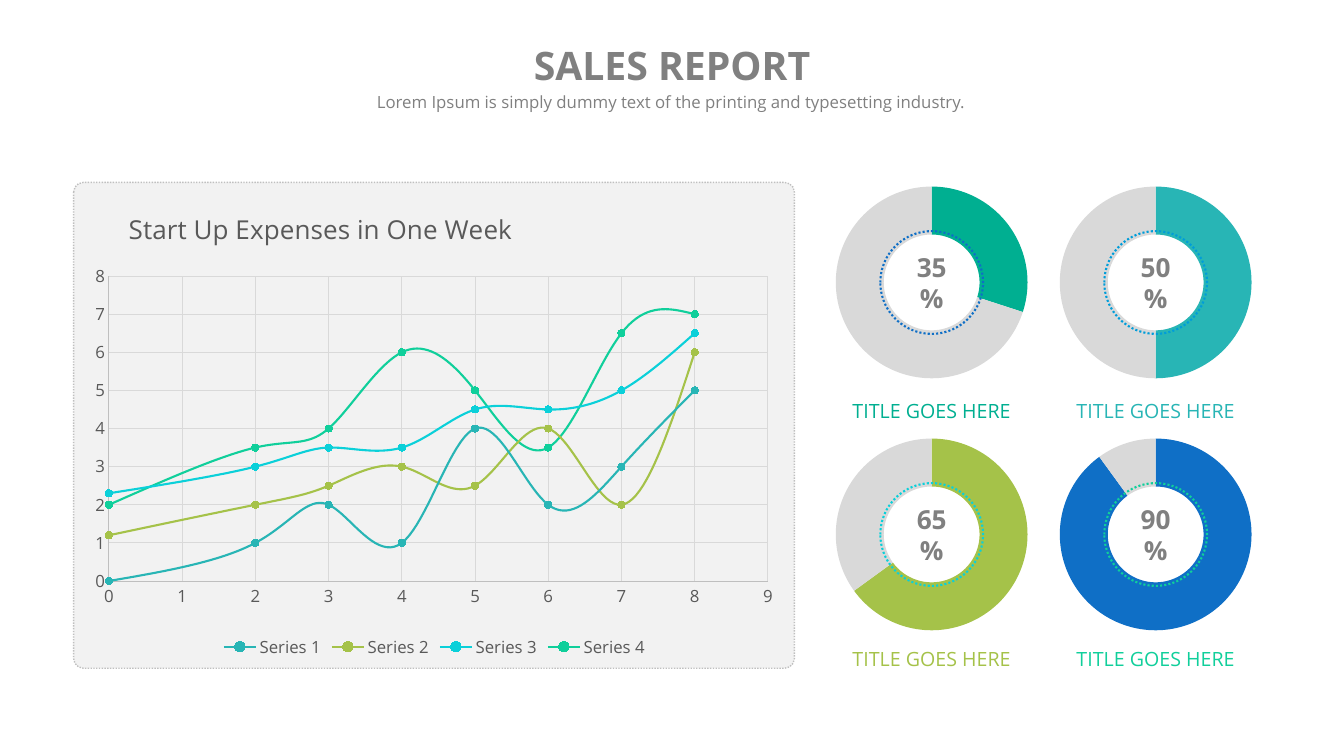
"""Build a sales report slide with a line chart and four progress rings."""
from lxml import etree
from pptx import Presentation
from pptx.chart.data import CategoryChartData, XyChartData
from pptx.dml.color import RGBColor
from pptx.enum.chart import XL_CHART_TYPE, XL_LEGEND_POSITION, XL_MARKER_STYLE, XL_TICK_MARK
from pptx.enum.dml import MSO_LINE
from pptx.enum.shapes import MSO_SHAPE
from pptx.enum.text import MSO_ANCHOR, MSO_AUTO_SIZE, PP_ALIGN
from pptx.oxml.ns import qn
from pptx.util import Pt

SMOOTH = XL_CHART_TYPE.XY_SCATTER_SMOOTH
DOUGHNUT = XL_CHART_TYPE.DOUGHNUT
BOTTOM = XL_LEGEND_POSITION.BOTTOM
DOT_MARKER = XL_MARKER_STYLE.CIRCLE
NO_TICK = XL_TICK_MARK.NONE
DOTTED = MSO_LINE.ROUND_DOT
ROUNDED, ELLIPSE = MSO_SHAPE.ROUNDED_RECTANGLE, MSO_SHAPE.OVAL
TOP, MIDDLE = MSO_ANCHOR.TOP, MSO_ANCHOR.MIDDLE
NO_FIT = MSO_AUTO_SIZE.NONE
CENTER = PP_ALIGN.CENTER

FONT = "Open Sans"
GREY, DARK, PALE = "808080", "595959", "D9D9D9"
SILVER, PANEL = "BFBFBF", "F2F2F2"
TEAL, LIME, CYAN, MINT = "28B5B5", "A5C249", "0BD0D9", "10CF9B"
GREEN, BLUE, SKY = "00AF91", "0F6FC6", "009DD9"


def color(value):
    """Turn a hex string into a colour."""
    return RGBColor.from_string(value)


def set_layout(parent, **fractions):
    """Place a chart part at fractions of the chart frame."""
    layout = parent.find(qn("c:layout"))
    if layout is None:
        layout = etree.Element(qn("c:layout"))
        parent.insert(0, layout)
    manual = etree.SubElement(layout, qn("c:manualLayout"))
    if "w" in fractions:
        etree.SubElement(manual, qn("c:layoutTarget"), val="inner")
    for axis in "xy":
        etree.SubElement(manual, qn(f"c:{axis}Mode"), val="edge")
    for name, fraction in fractions.items():
        etree.SubElement(manual, qn(f"c:{name}"), val=f"{fraction:.4f}")


def empty_fill():
    """Return chart shape properties without fill or line."""
    properties = etree.Element(qn("c:spPr"))
    etree.SubElement(properties, qn("a:noFill"))
    line = etree.SubElement(properties, qn("a:ln"))
    etree.SubElement(line, qn("a:noFill"))
    return properties


class SlideBuilder:
    """Hold the style and the current slide."""

    def __init__(self, slide, font):
        """Keep the slide and its font."""
        self.slide = slide
        self.font_name = font

    def style_font(self, font, size, font_color, bold=False):
        """Apply the slide font with a size and colour."""
        font.name = self.font_name
        font.size = Pt(size)
        font.bold = bold
        font.color.rgb = color(font_color)

    def set_text(self, shape, text, size, font_color, bold=False, anchor=MIDDLE):
        """Set one centred paragraph in a shape."""
        frame = shape.text_frame
        frame.text = text
        frame.word_wrap = True
        frame.auto_size = NO_FIT
        frame.vertical_anchor = anchor
        paragraph = frame.paragraphs[0]
        paragraph.alignment = CENTER
        paragraph.space_before = Pt(0)
        self.style_font(paragraph.runs[0].font, size, font_color, bold)

    def placeholder(self, index, box, text, size, **style):
        """Move and fill a template placeholder."""
        shape = self.slide.placeholders[index]
        shape.left, shape.top, shape.width, shape.height = map(Pt, box)
        self.set_text(shape, text, size, GREY, **style)

    def label(self, box, text, size, font_color):
        """Add a text box without margins."""
        shape = self.slide.shapes.add_textbox(*map(Pt, box))
        frame = shape.text_frame
        frame.margin_left = frame.margin_right = Pt(0)
        frame.margin_top = frame.margin_bottom = Pt(0)
        self.set_text(shape, text, size, font_color, anchor=TOP)

    def dotted_shape(self, kind, box, line_color, width, fill=None):
        """Add a preset shape with a dotted outline."""
        shape = self.slide.shapes.add_shape(kind, *map(Pt, box))
        shape.shadow.inherit = False
        if fill:
            shape.fill.solid()
            shape.fill.fore_color.rgb = color(fill)
        else:
            shape.fill.background()
        shape.line.color.rgb = color(line_color)
        shape.line.width = Pt(width)
        shape.line.dash_style = DOTTED
        return shape

    def chart(self, kind, box, plot_box, data, size):
        """Add a transparent chart with its plot area placed in points."""
        chart = self.slide.shapes.add_chart(kind, *map(Pt, box), data).chart
        self.style_font(chart.font, size, "000000")
        chart.has_title = chart.has_legend = False
        left, top, width, height = plot_box
        plot_area = chart.element.xpath("c:chart/c:plotArea")[0]
        set_layout(plot_area, x=left / box[2], y=top / box[3],
                   w=width / box[2], h=height / box[3])
        plot_area.append(empty_fill())
        chart.element.find(qn("c:chart")).addnext(empty_fill())
        return chart

    def axis(self, axis, maximum):
        """Format an axis from zero in steps of one."""
        axis.minimum_scale, axis.maximum_scale, axis.major_unit = 0, maximum, 1
        axis.major_tick_mark = axis.minor_tick_mark = NO_TICK
        axis.has_major_gridlines = True
        self.style_font(axis.tick_labels.font, 12, DARK)
        for line, line_color in ((axis.format.line, SILVER),
                                 (axis.major_gridlines.format.line, PALE)):
            line.color.rgb = color(line_color)
            line.width = Pt(0.75)

    def expenses_chart(self, box, plot_box, title, days, expenses, colors):
        """Add the smooth line chart of expenses."""
        data = XyChartData()
        for number, values in enumerate(expenses, 1):
            series = data.add_series(f"Series {number}")
            for day, value in zip(days, values):
                series.add_data_point(day, value)
        chart = self.chart(SMOOTH, box, plot_box, data, 10)
        plot = chart.plots[0]
        plot.vary_by_categories = False
        for series, series_color in zip(plot.series, colors):
            series.format.line.color.rgb = color(series_color)
            series.format.line.width = Pt(1.5)
            marker = series.marker
            marker.style, marker.size = DOT_MARKER, 5
            marker.format.fill.solid()
            marker.format.fill.fore_color.rgb = color(series_color)
            marker.format.line.color.rgb = color(series_color)
        for smooth in chart.element.xpath(".//c:smooth"):
            smooth.set("val", "1")
        self.axis(chart.category_axis, 9)
        self.axis(chart.value_axis, 8)
        chart.has_legend = True
        chart.legend.position = BOTTOM
        chart.legend.include_in_layout = False
        self.style_font(chart.legend.font, 12, DARK)
        frame = chart.chart_title.text_frame
        frame.text = title
        self.style_font(frame.paragraphs[0].runs[0].font, 18.6, DARK)
        set_layout(chart.element.xpath("c:chart/c:title")[0], x=0.06, y=0.03)

    def ring(self, center_x, center_y, share, text, ring_color, dot_color):
        """Add a doughnut with a dotted circle and a percentage."""
        width, height, ring_size, circle = 158, 166, 137, 73.4
        data = CategoryChartData()
        data.categories = ["1", "2"]
        data.add_series("Series 1", (share, 100 - share))
        box = (center_x - width / 2, center_y - height / 2, width, height)
        plot_box = ((width - ring_size) / 2, (height - ring_size) / 2, ring_size, ring_size)
        chart = self.chart(DOUGHNUT, box, plot_box, data, 18)
        chart.element.xpath(".//c:holeSize")[0].set("val", "70")
        for index, point_color in enumerate((ring_color, PALE)):
            point = chart.plots[0].series[0].points[index].format
            point.fill.solid()
            point.fill.fore_color.rgb = color(point_color)
            point.line.fill.background()
        circle_box = (center_x - circle / 2, center_y - circle / 2, circle, circle)
        shape = self.dotted_shape(ELLIPSE, circle_box, dot_color, 1.5)
        self.set_text(shape, text, 18.7, GREY, bold=True)


presentation = Presentation()
presentation.slide_width, presentation.slide_height = Pt(960), Pt(540)
builder = SlideBuilder(presentation.slides.add_slide(presentation.slide_layouts[0]), FONT)

builder.placeholder(0, (195, 29, 570, 35), "SALES REPORT", 28, bold=True)
builder.placeholder(
    1, (237, 62, 485, 22),
    "Lorem Ipsum is simply dummy text of the printing and typesetting industry.", 12, anchor=TOP)

panel = builder.dotted_shape(ROUNDED, (52.6, 130.3, 514.8, 347), SILVER, 1, PANEL)
panel.adjustments[0] = 0.02
EXPENSES = ((0, 1, 2, 1, 4, 2, 3, 5), (1.2, 2, 2.5, 3, 2.5, 4, 2, 6),
            (2.3, 3, 3.5, 3.5, 4.5, 4.5, 5, 6.5), (2, 3.5, 4, 6, 5, 3.5, 6.5, 7))
builder.expenses_chart((58.3, 135.4, 504, 337.7), (19.5, 61.8, 470.8, 217.9),
                       "Start Up Expenses in One Week", (0, 2, 3, 4, 5, 6, 7, 8),
                       EXPENSES, (TEAL, LIME, CYAN, MINT))

RINGS = ((30, "35%", GREEN, BLUE, GREEN), (50, "50%", TEAL, SKY, TEAL),
         (65, "65%", LIME, CYAN, LIME), (90, "90%", BLUE, MINT, MINT))
for position, (share, text, ring_color, dot_color, label_color) in enumerate(RINGS):
    row, column = divmod(position, 2)
    center_x = 665.5 + 160 * column
    builder.ring(center_x, 201.8 + 180 * row, share, text, ring_color, dot_color)
    builder.label((center_x - 58.5, 285 + 177 * row, 117, 17), "TITLE GOES HERE", 14, label_color)

presentation.save("out.pptx")
